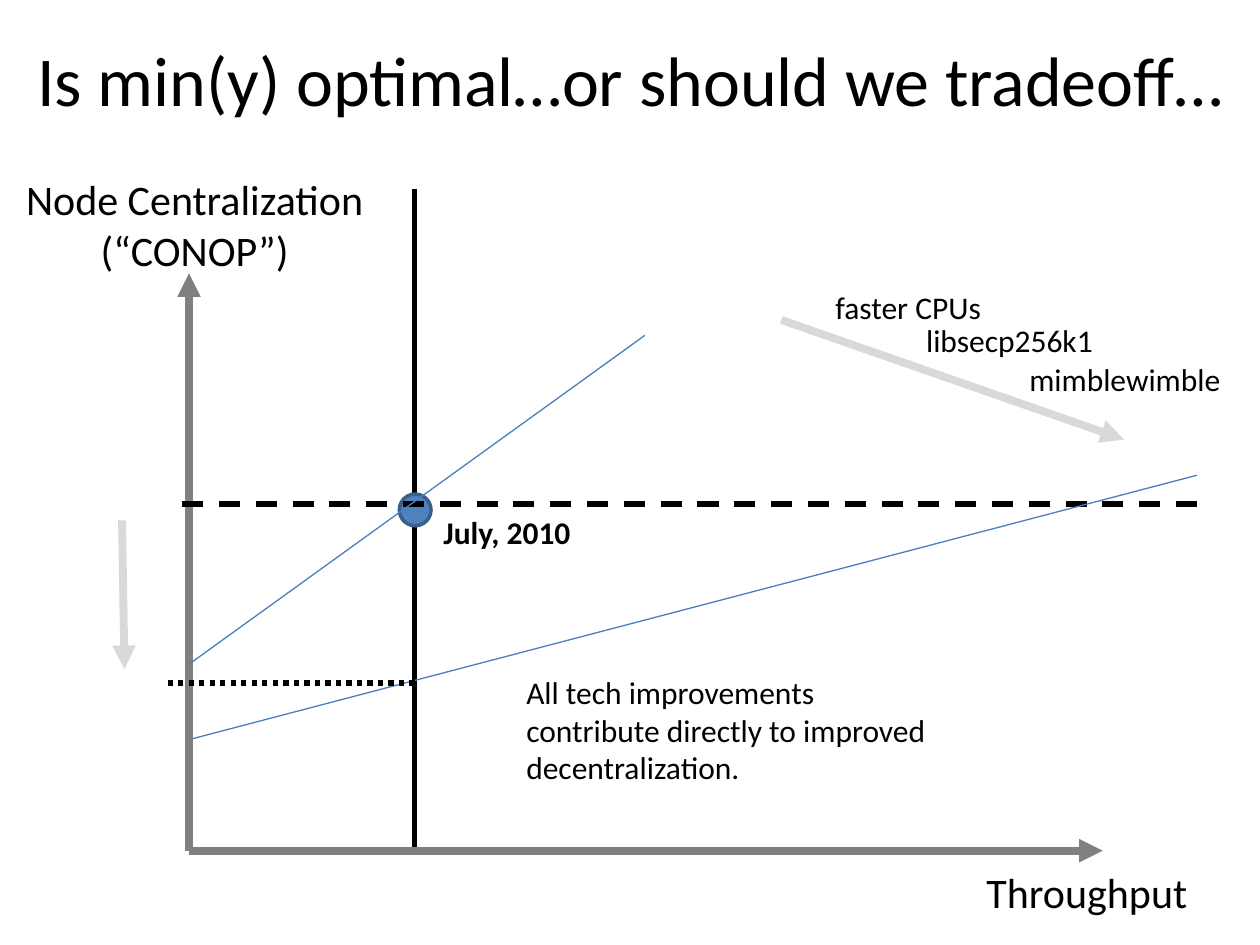
from dataclasses import dataclass
from typing import Optional

from lxml.etree import SubElement as Sub
from pptx import Presentation
from pptx.dml.color import RGBColor as Rgb
from pptx.enum.dml import MSO_LINE as Dash
from pptx.enum.shapes import MSO_CONNECTOR as Link, MSO_SHAPE as Shape
from pptx.enum.text import MSO_ANCHOR as Anchor, MSO_AUTO_SIZE as Fit, PP_ALIGN as Align
from pptx.oxml.ns import qn
from pptx.util import Cm, Pt

FONT = "Calibri"
INK = {
    "black": "000000", "axis": "808080", "trend": "4B7EBC",
    "hint": "D9D9D9", "dot": "4F81BD", "rim": "3A5F8C",
}

# Chart landmarks in cm
LEFT, BASE = 3.81, 17.15
NOW, LEVEL, LOW = 8.36, 10.16, 13.77
RIGHT = 24.13


@dataclass
class Line:
    start: tuple[float, float]
    end: tuple[float, float]
    ink: str
    width: float
    arrow: bool = False
    dash: Optional[Dash] = None


@dataclass
class Label:
    text: str
    box: tuple[float, float, float, float]
    size: int = 18
    bold: bool = False
    wrap: bool = False
    align: Align = Align.LEFT


def color(name: str) -> Rgb:
    return Rgb.from_string(INK[name])


def style(par, size: int, bold: bool, align: Align) -> None:
    par.alignment = align
    font = par.font
    font.name, font.size, font.bold = FONT, Pt(size), bold
    font.color.rgb = color("black")


def draw_line(slide, item: Line) -> None:
    ends = [Cm(v) for v in item.start + item.end]
    link = slide.shapes.add_connector(Link.STRAIGHT, *ends)
    link.line.color.rgb = color(item.ink)
    link.line.width = Pt(item.width)
    if item.dash is not None:
        link.line.dash_style = item.dash
    if item.arrow:
        Sub(link.line._get_or_add_ln(), qn("a:tailEnd"), type="triangle")
    Sub(link._element.spPr, qn("a:effectLst"))


def draw_label(slide, item: Label) -> None:
    box = slide.shapes.add_textbox(*[Cm(v) for v in item.box])
    frame = box.text_frame
    frame.text = item.text
    frame.word_wrap = item.wrap
    frame.auto_size = Fit.SHAPE_TO_FIT_TEXT
    for par in frame.paragraphs:
        style(par, item.size, item.bold, item.align)


def draw_dot(slide, x: float, y: float, size: float) -> None:
    dot = slide.shapes.add_shape(Shape.OVAL, Cm(x), Cm(y), Cm(size), Cm(size))
    dot.shadow.inherit = False
    dot.fill.solid()
    dot.fill.fore_color.rgb = color("dot")
    dot.line.color.rgb = color("rim")
    dot.line.width = Pt(2)


def draw_title(slide, text: str) -> None:
    title = slide.shapes.title
    title.left, title.top = Cm(0), Cm(0)
    title.width, title.height = Cm(25.4), Cm(3.18)
    frame = title.text_frame
    frame.text = text
    frame.word_wrap = True
    frame.vertical_anchor = Anchor.MIDDLE
    style(frame.paragraphs[0], 40, False, Align.CENTER)


# Lines behind the dot: present-day marker and the two axes
BACK = [
    Line((NOW, BASE), (NOW, 3.81), "black", 3),
    Line((LEFT, BASE), (LEFT, 5.51), "axis", 4.5, arrow=True),
    Line((LEFT, BASE), (22.23, BASE), "axis", 4.5, arrow=True),
]

# Lines over the dot: levels, trends and hint arrows
FRONT = [
    Line((RIGHT, LEVEL), (3.38, LEVEL), "black", 3, dash=Dash.DASH),
    Line((LEFT, 13.39), (13, 6.76), "trend", 0.75),
    Line((LEFT, 14.91), (RIGHT, 9.58), "trend", 0.75),
    Line((NOW, LOW), (3.28, LOW), "black", 3, dash=Dash.ROUND_DOT),
    Line((15.75, 6.45), (22.66, 8.86), "hint", 4.5, arrow=True),
    Line((2.46, 10.49), (2.51, 13.49), "hint", 4.5, arrow=True),
]

LABELS = [
    Label("Node Centralization\n(“CONOP”)", (0.23, 3.38, 7.39, 2.31), 24,
          align=Align.CENTER),
    Label("Throughput", (19.61, 17.35, 4.6, 1.27), 24, align=Align.CENTER),
    Label("July, 2010", (8.69, 10.21, 3.1, 1.02), bold=True),
    Label("All tech improvements contribute directly to improved decentralization.",
          (10.36, 13.44, 8.89, 2.57), wrap=True),
    Label("libsecp256k1", (18.42, 6.35, 3.91, 1.02)),
    Label("mimblewimble", (20.5, 7.14, 4.42, 1.02)),
    Label("faster CPUs", (16.59, 5.69, 3.48, 1.02)),
]


def main() -> None:
    deck = Presentation()
    deck.slide_width, deck.slide_height = Cm(25.4), Cm(19.05)
    slide = deck.slides.add_slide(deck.slide_layouts[5])

    draw_title(slide, "Is min(y) optimal…or should we tradeoff…")
    for item in BACK:
        draw_line(slide, item)
    draw_dot(slide, 8.05, 9.96, 0.64)
    for item in FRONT:
        draw_line(slide, item)
    for item in LABELS:
        draw_label(slide, item)

    deck.save("out.pptx")


if __name__ == "__main__":
    main()
